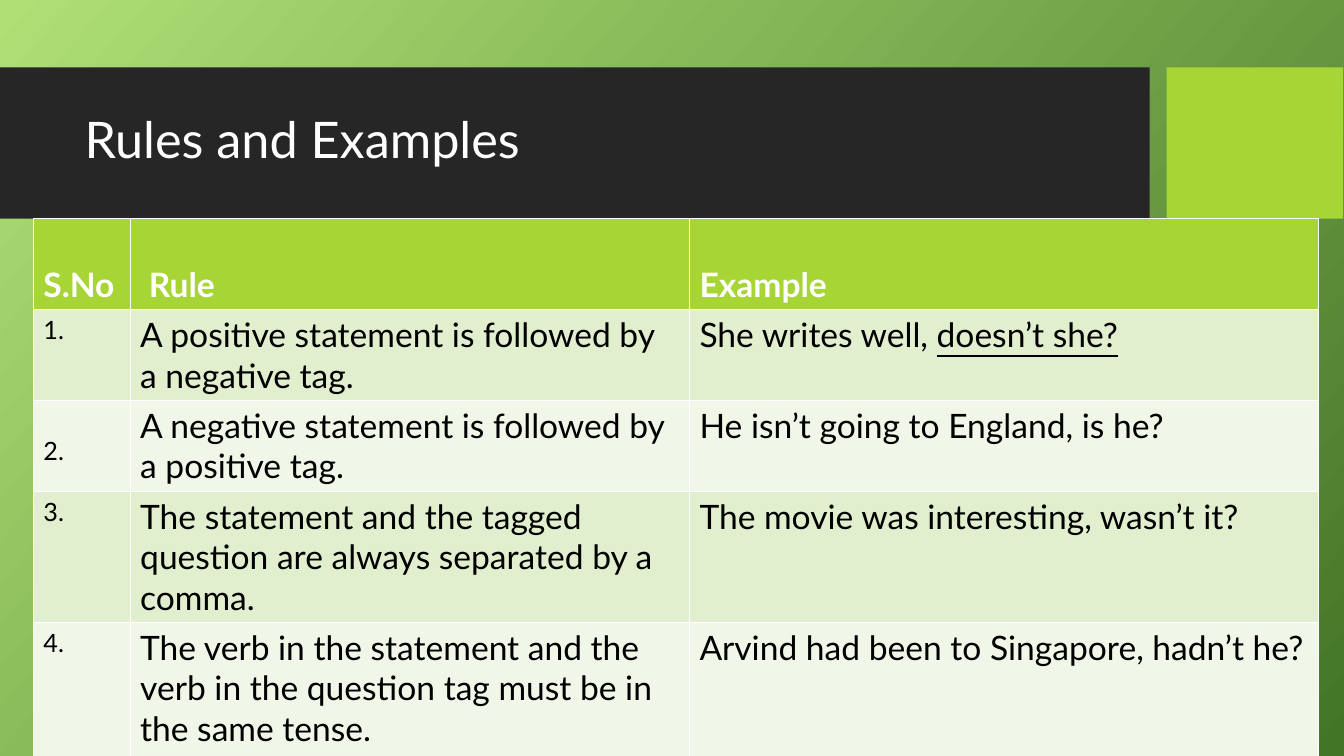
from lxml.etree import SubElement
from pptx import Presentation
from pptx.dml.color import RGBColor as RGB
from pptx.enum.shapes import MSO_SHAPE as SHAPE
from pptx.enum.text import MSO_ANCHOR as ANCHOR, PP_ALIGN as ALIGN
from pptx.oxml.ns import qn
from pptx.util import Cm, Pt

COLORS = {
    "light": "AFDF75", "deep": "437527", "dark": "262626", "accent": "A7D535",
    "odd": "E1EFCE", "even": "F1F7E8", "white": "FFFFFF", "black": "000000",
}
HEADERS = ["S.No", "Rule", "Example"]
RULES = [
    ("A positive statement is followed by a negative tag.",
     ["She writes well, ", "doesn’t she?"]),
    ("A negative statement is followed by a positive tag.",
     ["He isn’t going to England, is he?"]),
    ("The statement and the tagged question are always separated by a comma.",
     ["The movie was interesting, wasn’t it?"]),
    ("The verb in the statement and the verb in the question tag must be in the same tense.",
     ["Arvind had been to Singapore, hadn’t he?"]),
]
COL_WIDTHS = [2.44, 14.1, 15.85]
ROW_HEIGHTS = [2.29, 2.29, 2.29, 3.3, 3.37]


class Deck:
    font = "Lato"

    def __init__(self, width, height):
        self.prs = Presentation()
        self.prs.slide_width, self.prs.slide_height = Cm(width), Cm(height)
        self.s = self.prs.slides.add_slide(self.prs.slide_layouts[5])

    def color(self, name):
        return RGB.from_string(COLORS[name])

    def background(self, start, end, angle):
        fill = self.s.background.fill
        fill.gradient()
        fill.gradient_angle = 360 - angle
        for stop, name in zip(fill.gradient_stops, (start, end)):
            stop.color.rgb = self.color(name)

    def block(self, x, y, w, h, fill):
        sp = self.s.shapes.add_shape(SHAPE.RECTANGLE, Cm(x), Cm(y), Cm(w), Cm(h))
        sp.shadow.inherit = False
        sp.fill.solid()
        sp.fill.fore_color.rgb = self.color(fill)
        sp.line.fill.background()

    def run(self, p, text, size, color, bold=False, underline=False):
        r = p.add_run()
        r.text = text
        r.font.name, r.font.size = self.font, Pt(size)
        r.font.bold, r.font.underline = bold, underline
        r.font.color.rgb = self.color(color)

    def title(self, text, x, y, w, h):
        sp = self.s.shapes.title
        sp.element.getparent().append(sp.element)
        sp.left, sp.top, sp.width, sp.height = Cm(x), Cm(y), Cm(w), Cm(h)
        tf = sp.text_frame
        tf.vertical_anchor = ANCHOR.MIDDLE
        p = tf.paragraphs[0]
        p.alignment, p.line_spacing = ALIGN.LEFT, 0.9
        self.run(p, text, 36, "white")

    def table(self, x, y, widths, heights):
        frame = self.s.shapes.add_table(len(heights), len(widths), Cm(x), Cm(y),
                                        Cm(sum(widths)), Cm(sum(heights)))
        table = frame.table
        table.horz_banding = False
        for col, width in zip(table.columns, widths):
            col.width = Cm(width)
        for row, height in zip(table.rows, heights):
            row.height = Cm(height)
        return table

    def cell(self, cell, texts, size, color, fill, borders, bold=False):
        tcPr = cell._tc.get_or_add_tcPr()
        for side, width in borders.items():
            ln = SubElement(tcPr, qn(f"a:ln{side}"), w=str(Pt(width)))
            solid = SubElement(ln, qn("a:solidFill"))
            SubElement(solid, qn("a:srgbClr"), val=COLORS["white"])
        cell.fill.solid()
        cell.fill.fore_color.rgb = self.color(fill)
        p = cell.text_frame.paragraphs[0]
        for i, text in enumerate(texts):
            self.run(p, text, size, color, bold, underline=i > 0)

    def rules_table(self, x, y):
        table = self.table(x, y, COL_WIDTHS, ROW_HEIGHTS)
        thin = dict.fromkeys("LRTB", 0.45)
        for col, text in enumerate(HEADERS):
            cell = table.cell(0, col)
            self.cell(cell, [text], 24, "white", "accent", {**thin, "B": 1.47}, bold=True)
            cell.vertical_anchor = ANCHOR.BOTTOM
        table.cell(0, 1).margin_left = Cm(0.47)
        for row, (rule, example) in enumerate(RULES, 1):
            fill = "odd" if row % 2 else "even"
            borders = {**thin, "T": 1.47} if row == 1 else thin
            for col, texts in enumerate([[f"{row}."], [rule], example]):
                size = 24 if col else 18
                self.cell(table.cell(row, col), texts, size, "black", fill, borders)
        table.cell(2, 0).margin_top = Cm(0.89)


def main():
    deck = Deck(33.88, 19.05)
    deck.background("light", "deep", 42)
    deck.block(0, 1.7, 28.98, 3.81, "dark")
    deck.block(29.41, 1.7, 4.45, 3.81, "accent")
    deck.title("Rules and Examples", 1.88, 2.08, 26.7, 3)
    deck.rules_table(0.84, 5.51)
    deck.prs.save("out.pptx")


if __name__ == "__main__":
    main()
